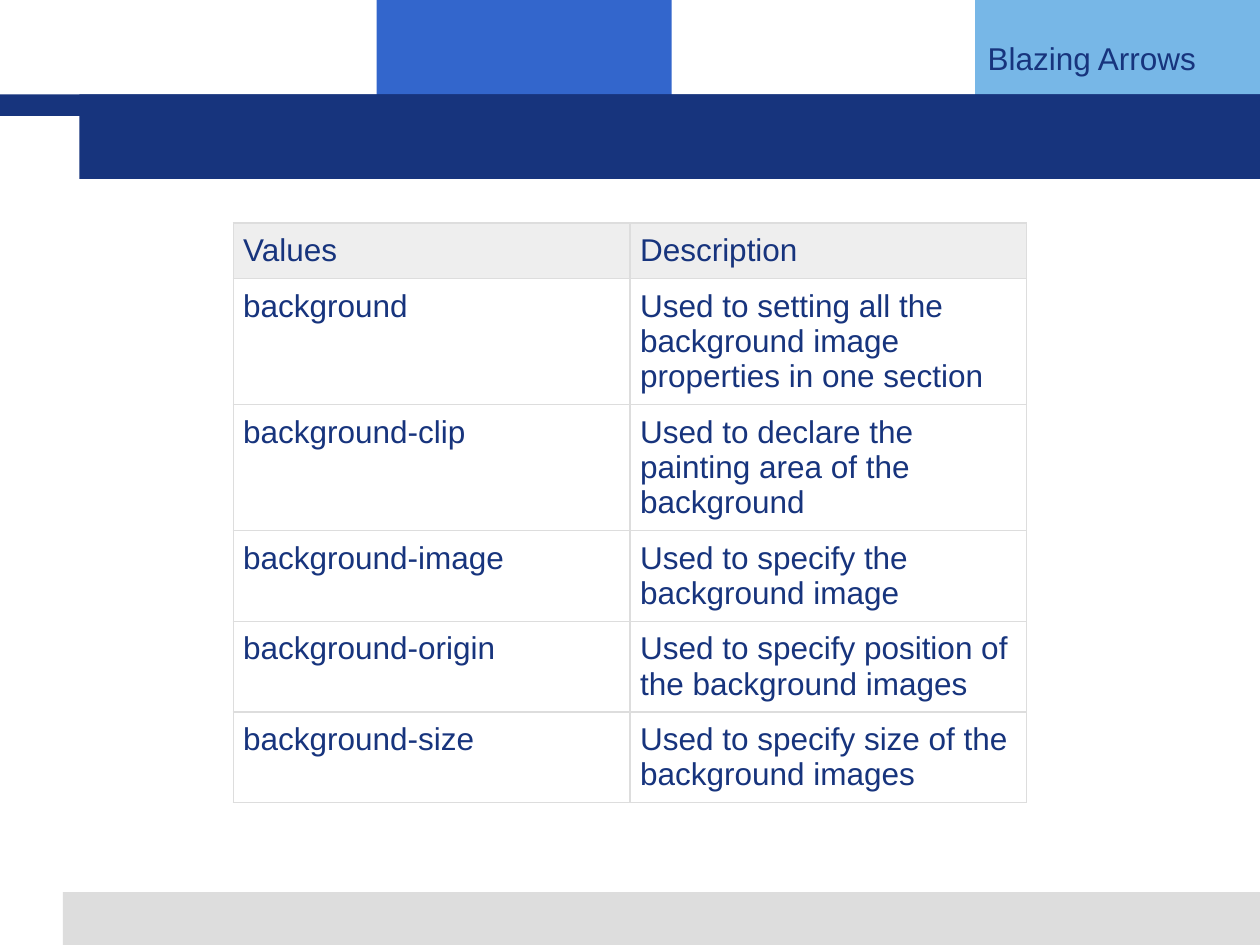
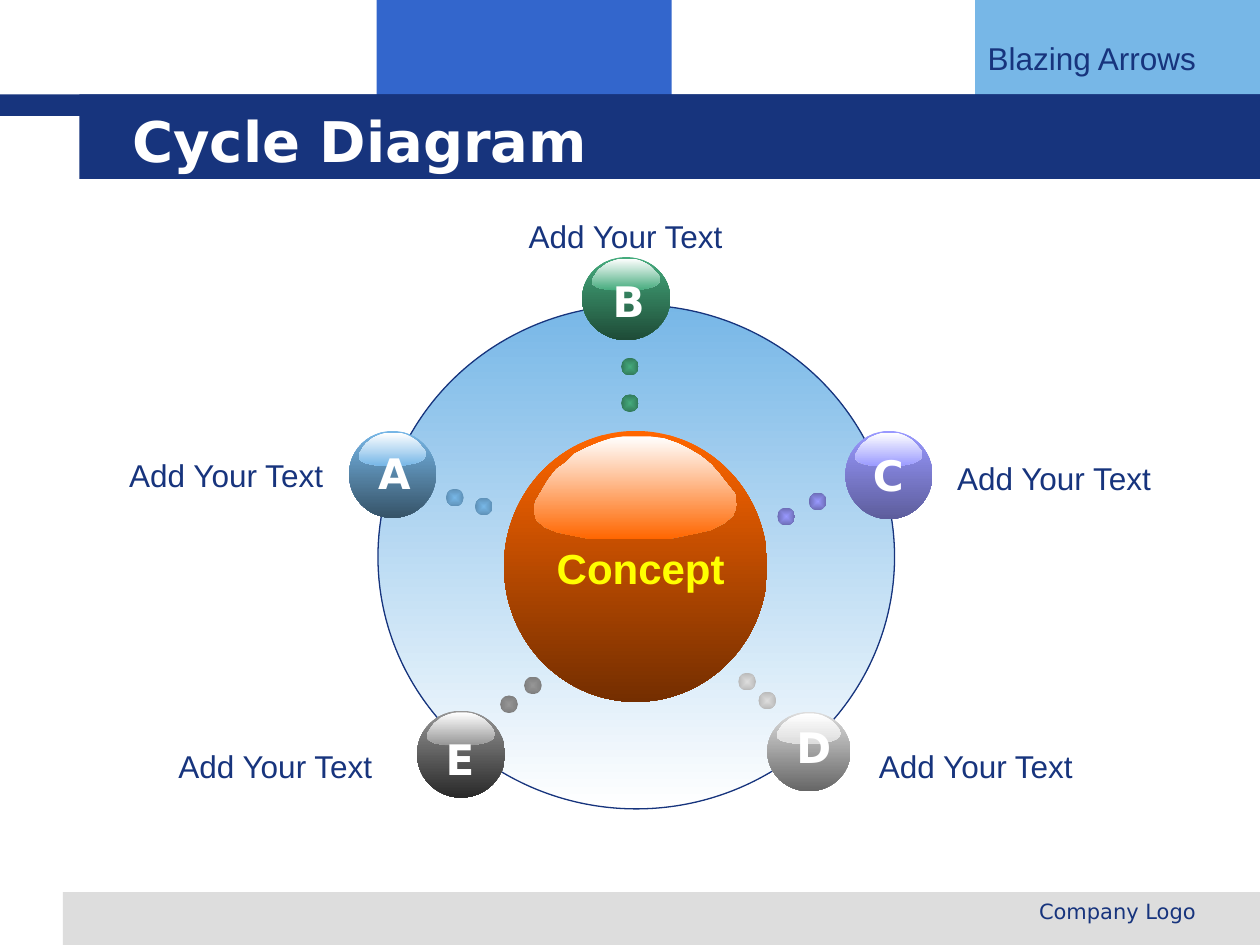
"""Build a two-slide deck: a table of CSS background properties and a cycle diagram."""
from dataclasses import dataclass
from typing import Optional

from lxml import etree
from pptx import Presentation
from pptx.dml.color import RGBColor
from pptx.enum import shapes, text
from pptx.oxml import ns
from pptx.util import Inches, Pt

NAVY, BLUE, SKY = "17347D", "3366CC", "77B7E7"
GRAY, PALE_GRAY, WHITE = "DDDDDD", "EEEEEE", "FFFFFF"
ORANGE, BROWN, YELLOW = "FF6600", "742E00", "FFFF00"
BODY_FONT, TITLE_FONT = "Arial", "DejaVu Sans"

# Outline of the highlight on a sphere, in percent of its box.
GLOSS_OUTLINE = [
    (99, 56), (100, 67), (98, 77), (94, 84), (87, 91), (78, 95), (68, 99),
    (60, 100), (36, 100), (26, 99), (18, 96), (11, 93), (5, 88), (1, 81),
    (0, 73), (0, 68), (1, 62), (4, 52), (7, 42), (11, 32), (16, 25), (20, 17),
    (26, 11), (32, 6), (38, 2), (44, 0), (57, 0), (64, 2), (71, 7), (76, 12),
    (82, 19), (87, 27), (91, 36), (95, 46),
]


@dataclass(frozen=True)
class Box:
    """A rectangle in inches."""
    left: float
    top: float
    width: float
    height: float

    def lengths(self) -> tuple:
        """Return the four values as lengths."""
        return tuple(Inches(v) for v in (self.left, self.top, self.width, self.height))


@dataclass(frozen=True)
class Style:
    """The look of a piece of text."""
    size: float = 18
    color: str = NAVY
    font: str = BODY_FONT
    bold: bool = False
    align: text.PP_ALIGN = text.PP_ALIGN.LEFT


LABEL_STYLE = Style(align=text.PP_ALIGN.CENTER)
LETTER_STYLE = Style(24, WHITE, TITLE_FONT, True, text.PP_ALIGN.CENTER)
CONCEPT_STYLE = Style(24, YELLOW, BODY_FONT, True, text.PP_ALIGN.CENTER)
TITLE_STYLE = Style(32, WHITE, TITLE_FONT, True)
FOOTER_STYLE = Style(12, NAVY, TITLE_FONT, align=text.PP_ALIGN.RIGHT)


@dataclass(frozen=True)
class Node:
    """A lettered sphere with its trail of dots and its label."""
    letter: str
    sphere: Box
    color: str
    shade: str
    dot_shade: str
    letter_center: tuple
    dots: tuple
    label_corner: tuple


NODES = [
    Node("B", Box(4.62, 2.04, 0.7, 0.66), "45AB7D", "1E4B37", "317959",
         (4.99, 2.39), ((4.93, 2.84), (4.93, 3.13)), (4, 1.67)),
    Node("E", Box(3.31, 5.64, 0.7, 0.69), "969696", "292929", "7E7E7E",
         (3.65, 6.02), ((3.97, 5.52), (4.16, 5.37)), (1.22, 5.88)),
    Node("C", Box(6.71, 3.42, 0.69, 0.7), "9999FF", "5D5D9C", "6B6BB3",
         (7.05, 3.77), ((6.42, 3.91), (6.17, 4.03)), (7.4, 3.59)),
    Node("D", Box(6.09, 5.65, 0.66, 0.63), GRAY, "666666", "B9B9B9",
         (6.46, 5.93), ((6.02, 5.49), (5.86, 5.34)), (6.78, 5.88)),
    Node("A", Box(2.77, 3.42, 0.69, 0.69), SKY, "365368", "5E90B6",
         (3.13, 3.75), ((3.54, 3.88), (3.77, 3.95)), (0.83, 3.57)),
]

# Each row: value, description, number of text lines.
TABLE_ROWS = [
    ("Values", "Description", 1),
    ("background", "Used to setting all the background image properties in one section", 3),
    ("background-clip", "Used to declare the painting area of the background", 3),
    ("background-image", "Used to specify the background image", 2),
    ("background-origin", "Used to specify position of the background images", 2),
    ("background-size", "Used to specify size of the background images", 2),
]


def rgb(color: str) -> RGBColor:
    """Turn a hex string into a colour."""
    return RGBColor.from_string(color)


def write(frame, words: str, style: Style) -> None:
    """Put one styled paragraph into a text frame."""
    frame.text = words
    paragraph = frame.paragraphs[0]
    paragraph.alignment = style.align
    paragraph.font.size = Pt(style.size)
    paragraph.font.name = style.font
    paragraph.font.bold = style.bold
    paragraph.font.color.rgb = rgb(style.color)


def add_text(slide, box: Box, words: str, style: Style, wrap: bool = True) -> None:
    """Add a text box."""
    frame = slide.shapes.add_textbox(*box.lengths()).text_frame
    frame.word_wrap = wrap
    write(frame, words, style)


def add_band(slide, box: Box, color: str):
    """Add a plain rectangle without outline."""
    band = slide.shapes.add_shape(shapes.MSO_SHAPE.RECTANGLE, *box.lengths())
    band.shadow.inherit = False
    band.fill.solid()
    band.fill.fore_color.rgb = rgb(color)
    band.line.fill.background()
    return band


def paint_gradient(shape, first: str, last: str, line: Optional[str] = None,
                   radial: bool = False) -> None:
    """Fill a shape from top to bottom, or from its centre outwards."""
    shape.shadow.inherit = False
    shape.fill.gradient()
    for stop, position, color in zip(shape.fill.gradient_stops, (0, 1), (first, last)):
        stop.position = position
        stop.color.rgb = rgb(color)
    shape.fill.gradient_angle = 270
    if radial:
        linear = shape.element.spPr.find(".//" + ns.qn("a:lin"))
        route = etree.Element(ns.qn("a:path"), path="shape")
        etree.SubElement(route, ns.qn("a:fillToRect"),
                         {side: "50000" for side in "ltrb"})
        linear.getparent().replace(linear, route)
    if line:
        shape.line.color.rgb = rgb(line)
        shape.line.width = Pt(0.75)
    else:
        shape.line.fill.background()


def add_ellipse(slide, box: Box, first: str, last: str, **look) -> None:
    """Add an ellipse with a gradient."""
    ellipse = slide.shapes.add_shape(shapes.MSO_SHAPE.OVAL, *box.lengths())
    paint_gradient(ellipse, first, last, **look)


def add_glossy_sphere(slide, box: Box, color: str, shade: str) -> None:
    """Add a sphere with a white highlight in its upper part."""
    add_ellipse(slide, box, color, shade)
    left, top = box.left + 0.115 * box.width, box.top + 0.02 * box.height
    width, height = 0.77 * box.width, 0.38 * box.height
    points = [(Inches(left + width * x / 100), Inches(top + height * y / 100))
              for x, y in GLOSS_OUTLINE]
    builder = slide.shapes.build_freeform(*points[0])
    builder.add_line_segments(points[1:], close=True)
    paint_gradient(builder.convert_to_shape(), WHITE, color)


def decorate_master(presentation, slide) -> None:
    """Draw the shared bands on a slide and move them to the master."""
    bands = [add_band(slide, box, color) for box, color in (
        (Box(2.99, 0, 2.34, 0.92), BLUE),
        (Box(7.74, 0, 2.26, 0.92), SKY),
        (Box(0.5, 7.08, 9.5, 0.42), GRAY),
        (Box(0, 0.75, 10, 0.17), NAVY),
        (Box(0.63, 0.75, 9.37, 0.67), NAVY),
    )]
    name_frame = bands[1].text_frame
    name_frame.word_wrap = False
    name_frame.vertical_anchor = text.MSO_ANCHOR.MIDDLE
    write(name_frame, "Blazing Arrows", Style())
    for band in bands:
        presentation.slide_master.shapes.element.append(band.element)


def set_borders(cell, color: str, width: float) -> None:
    """Draw a line on all four sides of a cell."""
    properties = cell._tc.get_or_add_tcPr()
    for side in ("a:lnL", "a:lnR", "a:lnT", "a:lnB"):
        border = etree.SubElement(properties, ns.qn(side), w=str(Pt(width)))
        fill = etree.SubElement(border, ns.qn("a:solidFill"))
        etree.SubElement(fill, ns.qn("a:srgbClr"), val=color)


def add_property_table(slide) -> None:
    """Add the table of background properties."""
    heights = [0.44 + 0.28 * (lines - 1) for _, _, lines in TABLE_ROWS]
    box = Box(1.85, 1.77, 6.3, sum(heights))
    table = slide.shapes.add_table(len(TABLE_ROWS), 2, *box.lengths()).table
    table.first_row = table.horz_banding = False
    for index, (value, description, _) in enumerate(TABLE_ROWS):
        table.rows[index].height = Inches(heights[index])
        for cell, words in zip(table.rows[index].cells, (value, description)):
            cell.margin_left = cell.margin_right = Inches(0.08)
            cell.margin_top = cell.margin_bottom = Inches(0.08)
            set_borders(cell, GRAY, 0.75)
            if index == 0:
                cell.fill.solid()
                cell.fill.fore_color.rgb = rgb(PALE_GRAY)
            else:
                cell.fill.background()
            write(cell.text_frame, words, Style())


def set_title(slide, words: str) -> None:
    """Place and format the title in the navy band."""
    title = slide.shapes.title
    title.left, title.top, title.width, title.height = Box(0.8, 0.8, 8.53, 0.62).lengths()
    frame = title.text_frame
    frame.auto_size = text.MSO_AUTO_SIZE.NONE
    frame.vertical_anchor = text.MSO_ANCHOR.MIDDLE
    frame.margin_left = Inches(0.25)
    write(frame, words, TITLE_STYLE)


def add_node(slide, node: Node) -> None:
    """Add a lettered sphere, its dots and its label."""
    add_glossy_sphere(slide, node.sphere, node.color, node.shade)
    x, y = node.letter_center
    add_text(slide, Box(x - 0.25, y - 0.25, 0.5, 0.5), node.letter, LETTER_STYLE, wrap=False)
    for left, top in node.dots:
        add_ellipse(slide, Box(left, top, 0.14, 0.14), node.color, node.dot_shade, radial=True)
    add_text(slide, Box(*node.label_corner, 1.93, 0.4), "Add Your Text", LABEL_STYLE)


def add_cycle(slide) -> None:
    """Add the ring, the central concept and the five nodes."""
    add_ellipse(slide, Box(3, 2.42, 4.1, 4), SKY, WHITE, line=NAVY)
    add_glossy_sphere(slide, Box(4, 3.42, 2.09, 2.15), ORANGE, BROWN)
    add_text(slide, Box(4.32, 4.26, 1.53, 0.5), "Concept", CONCEPT_STYLE, wrap=False)
    for node in NODES:
        add_node(slide, node)


def main() -> None:
    """Build and save the deck."""
    presentation = Presentation()
    presentation.slide_width, presentation.slide_height = Inches(10), Inches(7.5)
    title_only, blank = presentation.slide_layouts[5], presentation.slide_layouts[6]

    table_slide = presentation.slides.add_slide(blank)
    decorate_master(presentation, table_slide)
    add_property_table(table_slide)

    cycle_slide = presentation.slides.add_slide(title_only)
    set_title(cycle_slide, "Cycle Diagram")
    add_text(cycle_slide, Box(6.42, 7.08, 3.17, 0.35), "Company Logo", FOOTER_STYLE)
    add_cycle(cycle_slide)

    presentation.save("out.pptx")


main()
